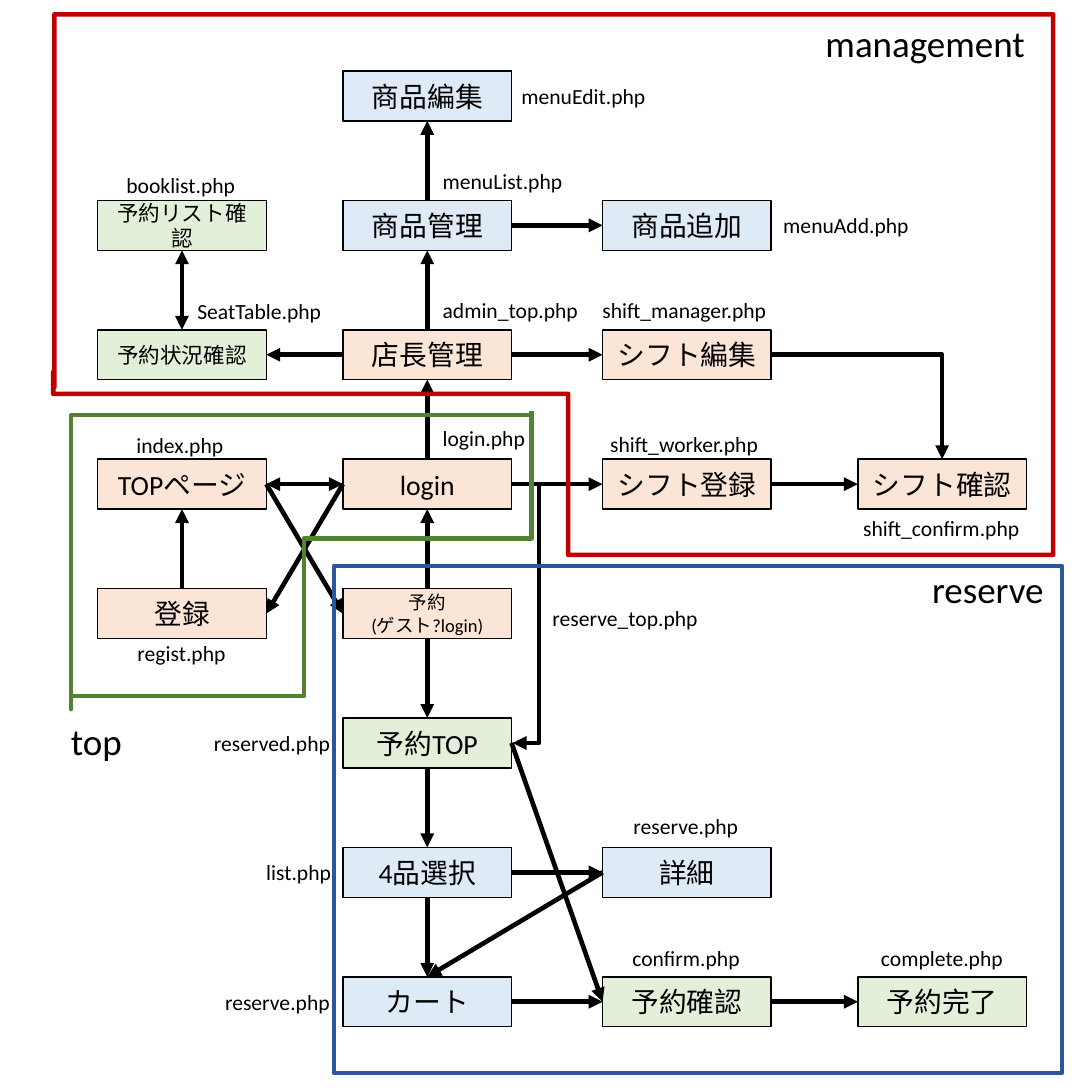
from pptx import Presentation
from pptx.dml.color import RGBColor
from pptx.enum.shapes import MSO_CONNECTOR, MSO_SHAPE
from pptx.enum.text import MSO_ANCHOR, PP_ALIGN
from pptx.oxml.ns import qn
from pptx.util import Inches, Pt
from lxml import etree

RECTANGLE = MSO_SHAPE.RECTANGLE
STRAIGHT, ELBOW = MSO_CONNECTOR.STRAIGHT, MSO_CONNECTOR.ELBOW
CENTER, LEFT = PP_ALIGN.CENTER, PP_ALIGN.LEFT
MIDDLE, TOP_ANCHOR = MSO_ANCHOR.MIDDLE, MSO_ANCHOR.TOP

COLORS = {
    "black": "000000", "orange": "FBE5D6", "blue": "DEEBF7", "green": "E2F0D9",
    "management": "C00000", "reserve": "2F5597", "top": "548235",
}
FONT = "Calibri"
SLIDE_SIZE = 9.84
COLUMNS = [0.88, 3.09, 5.43, 7.73]
FIRST_ROW, ROW_STEP = 0.64, 1.166
BOX_WIDTH, BOX_HEIGHT = 1.52, 0.45
FRAME_WIDTH = 3
SITES = {"top": 0, "left": 1, "bottom": 2, "right": 3}

# name: (text, column, row, fill, text size)
PAGES = {
    "menu edit": ("商品編集", 1, 0, "blue", 18),
    "book list": ("予約リスト確認", 0, 1, "green", 14),
    "menu list": ("商品管理", 1, 1, "blue", 18),
    "menu add": ("商品追加", 2, 1, "blue", 18),
    "seat table": ("予約状況確認", 0, 2, "green", 14),
    "admin top": ("店長管理", 1, 2, "orange", 18),
    "shift manager": ("シフト編集", 2, 2, "orange", 18),
    "index": ("TOPページ", 0, 3, "orange", 18),
    "login": ("login", 1, 3, "orange", 18),
    "shift worker": ("シフト登録", 2, 3, "orange", 18),
    "shift confirm": ("シフト確認", 3, 3, "orange", 18),
    "regist": ("登録", 0, 4, "orange", 18),
    "reserve top": ("予約\n(ゲスト?login)", 1, 4, "orange", 12),
    "reserved": ("予約TOP", 1, 5, "green", 18),
    "list": ("4品選択", 1, 6, "blue", 18),
    "detail": ("詳細", 2, 6, "blue", 18),
    "cart": ("カート", 1, 7, "blue", 18),
    "confirm": ("予約確認", 2, 7, "green", 18),
    "complete": ("予約完了", 3, 7, "green", 18),
}

# (from page, side, to page, side)
ARROWS = [
    ("menu list", "top", "menu edit", "bottom"),
    ("menu list", "right", "menu add", "left"),
    ("admin top", "top", "menu list", "bottom"),
    ("admin top", "left", "seat table", "right"),
    ("admin top", "right", "shift manager", "left"),
    ("login", "top", "admin top", "bottom"),
    ("login", "right", "shift worker", "left"),
    ("login", "left", "regist", "right"),
    ("shift worker", "right", "shift confirm", "left"),
    ("regist", "top", "index", "bottom"),
    ("index", "right", "reserve top", "left"),
    ("reserve top", "top", "login", "bottom"),
    ("reserve top", "bottom", "reserved", "top"),
    ("reserved", "bottom", "list", "top"),
    ("reserved", "right", "confirm", "left"),
    ("list", "right", "detail", "left"),
    ("list", "bottom", "cart", "top"),
    ("detail", "left", "cart", "top"),
    ("cart", "right", "confirm", "left"),
    ("confirm", "right", "complete", "left"),
]
TWO_WAY_ARROWS = [
    ("index", "right", "login", "left"),
    ("seat table", "top", "book list", "bottom"),
]
CORNER_ARROW = ("shift manager", "right", "shift confirm", "top")
BYPASS_ARROW = ("login", "right", "reserved", "right")
BYPASS_REACH, BYPASS_OFFSET = 0.25, 0.01

# (text, left, top, width)
FILE_LABELS = [
    ("menuEdit.php", 4.6, 0.7, 1.33), ("menuList.php", 3.89, 1.46, 1.29),
    ("menuAdd.php", 6.96, 1.86, 1.34), ("booklist.php", 1.04, 1.5, 1.19),
    ("SeatTable.php", 1.68, 2.64, 1.33), ("admin_top.php", 3.89, 2.63, 1.43),
    ("shift_manager.php", 5.33, 2.63, 1.7), ("index.php", 1.13, 3.84, 0.99),
    ("login.php", 3.89, 3.78, 0.95), ("shift_worker.php", 5.4, 3.83, 1.55),
    ("shift_confirm.php", 7.68, 4.59, 1.63), ("regist.php", 1.14, 5.72, 1.01),
    ("reserve_top.php", 4.88, 5.4, 1.53), ("reserved.php", 1.83, 6.53, 1.26),
    ("reserve.php", 5.61, 7.28, 1.16), ("list.php", 2.3, 7.69, 0.79),
    ("confirm.php", 5.6, 8.47, 1.18), ("complete.php", 7.84, 8.47, 1.31),
    ("reserve.php", 1.93, 8.86, 1.16),
]
AREA_LABELS = [
    ("management", 7.34, 0.14, 2.02), ("reserve", 8.3, 5.06, 1.22),
    ("top", 0.54, 6.43, 0.67),
]
MANAGEMENT_OUTLINE = [
    (0.49, 3.49), (0.49, 0.13), (9.49, 0.13), (9.49, 5), (5.12, 5),
    (5.12, 3.55), (0.48, 3.55), (0.48, 3.35),
]
TOP_OUTLINE = [
    (4.79, 3.7), (4.79, 4.85), (2.74, 4.85), (2.74, 6.27), (0.64, 6.27),
    (0.64, 6.39), (0.64, 3.74), (4.79, 3.74),
]
RESERVE_FRAME = (3.01, 5.1, 6.56, 4.57)


def rgb(name):
    """Return the named colour."""
    return RGBColor.from_string(COLORS[name])


def set_line(shape, color, width):
    """Colour and size the line of a shape or connector."""
    shape.line.color.rgb = rgb(color)
    shape.line.width = Pt(width)


def write(shape, text, size, alignment, anchor, wrap):
    """Put formatted text into a shape."""
    frame = shape.text_frame
    frame.text = text
    frame.word_wrap = wrap
    frame.vertical_anchor = anchor
    font_values = {"name": FONT, "size": Pt(size)}
    for paragraph in frame.paragraphs:
        paragraph.alignment = alignment
        for run in paragraph.runs:
            for attribute, value in font_values.items():
                setattr(run.font, attribute, value)
            run.font.color.rgb = rgb("black")


def add_page(shapes, text, column, row, fill, size):
    """Add the box of one page at its grid cell."""
    top = FIRST_ROW + row * ROW_STEP
    box = shapes.add_shape(RECTANGLE, Inches(COLUMNS[column]), Inches(top),
                           Inches(BOX_WIDTH), Inches(BOX_HEIGHT))
    box.shadow.inherit = False
    box.fill.solid()
    box.fill.fore_color.rgb = rgb(fill)
    set_line(box, "black", 1)
    write(box, text, size, CENTER, MIDDLE, True)
    return box


def add_arrow(shapes, boxes, route, kind=STRAIGHT, ends=("tailEnd",)):
    """Join two page boxes with an arrow."""
    start, start_side, finish, finish_side = route
    arrow = shapes.add_connector(kind, 0, 0, 0, 0)
    arrow.begin_connect(boxes[start], SITES[start_side])
    arrow.end_connect(boxes[finish], SITES[finish_side])
    set_line(arrow, "black", 3)
    properties = arrow._element.spPr
    line = properties.find(qn("a:ln"))
    for end in ends:
        etree.SubElement(line, qn(f"a:{end}"), type="triangle")
    etree.SubElement(properties, qn("a:effectLst"))
    return arrow


def add_label(shapes, text, left, top, width, size):
    """Add a one-line text box."""
    height = 0.34 if size == 14 else 0.5
    label = shapes.add_textbox(Inches(left), Inches(top), Inches(width), Inches(height))
    write(label, text, size, LEFT, TOP_ANCHOR, False)


def style_frame(shape, color):
    """Make a shape an unfilled area frame."""
    shape.shadow.inherit = False
    shape.fill.background()
    set_line(shape, color, FRAME_WIDTH)


def add_outline(shapes, points, color, close):
    """Draw an area frame through the given points."""
    corners = [(Inches(x), Inches(y)) for x, y in points]
    builder = shapes.build_freeform(*corners[0])
    builder.add_line_segments(corners[1:], close=close)
    style_frame(builder.convert_to_shape(), color)


presentation = Presentation()
presentation.slide_width = presentation.slide_height = Inches(SLIDE_SIZE)
slide = presentation.slides.add_slide(presentation.slide_layouts[6])
shapes = slide.shapes

boxes = {name: add_page(shapes, *page) for name, page in PAGES.items()}
for route in ARROWS:
    add_arrow(shapes, boxes, route)
for route in TWO_WAY_ARROWS:
    add_arrow(shapes, boxes, route, ends=("headEnd", "tailEnd"))

corner = add_arrow(shapes, boxes, CORNER_ARROW, ELBOW)
corner._element.spPr.find(qn("a:prstGeom")).set("prst", "bentConnector2")
bypass = add_arrow(shapes, boxes, BYPASS_ARROW, ELBOW)
bypass.end_x += Inches(BYPASS_OFFSET)
adjustments = bypass._element.spPr.find(qn("a:prstGeom")).get_or_add_avLst()
reach = round(BYPASS_REACH / BYPASS_OFFSET * 100000)
etree.SubElement(adjustments, qn("a:gd"), name="adj1", fmla=f"val {reach}")

add_outline(shapes, MANAGEMENT_OUTLINE, "management", True)
style_frame(shapes.add_shape(RECTANGLE, *map(Inches, RESERVE_FRAME)), "reserve")
add_outline(shapes, TOP_OUTLINE, "top", False)

for labels, size in ((FILE_LABELS, 14), (AREA_LABELS, 24)):
    for label in labels:
        add_label(shapes, *label, size)

presentation.save("out.pptx")
